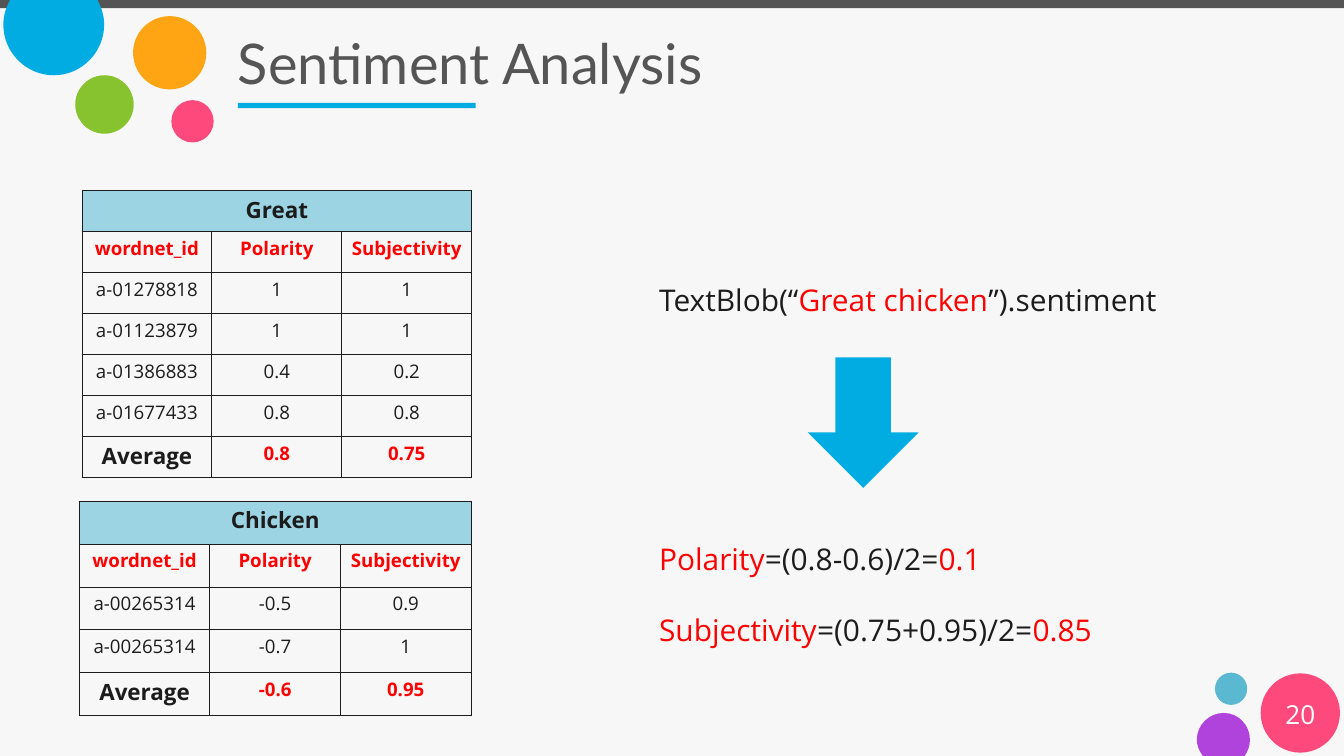
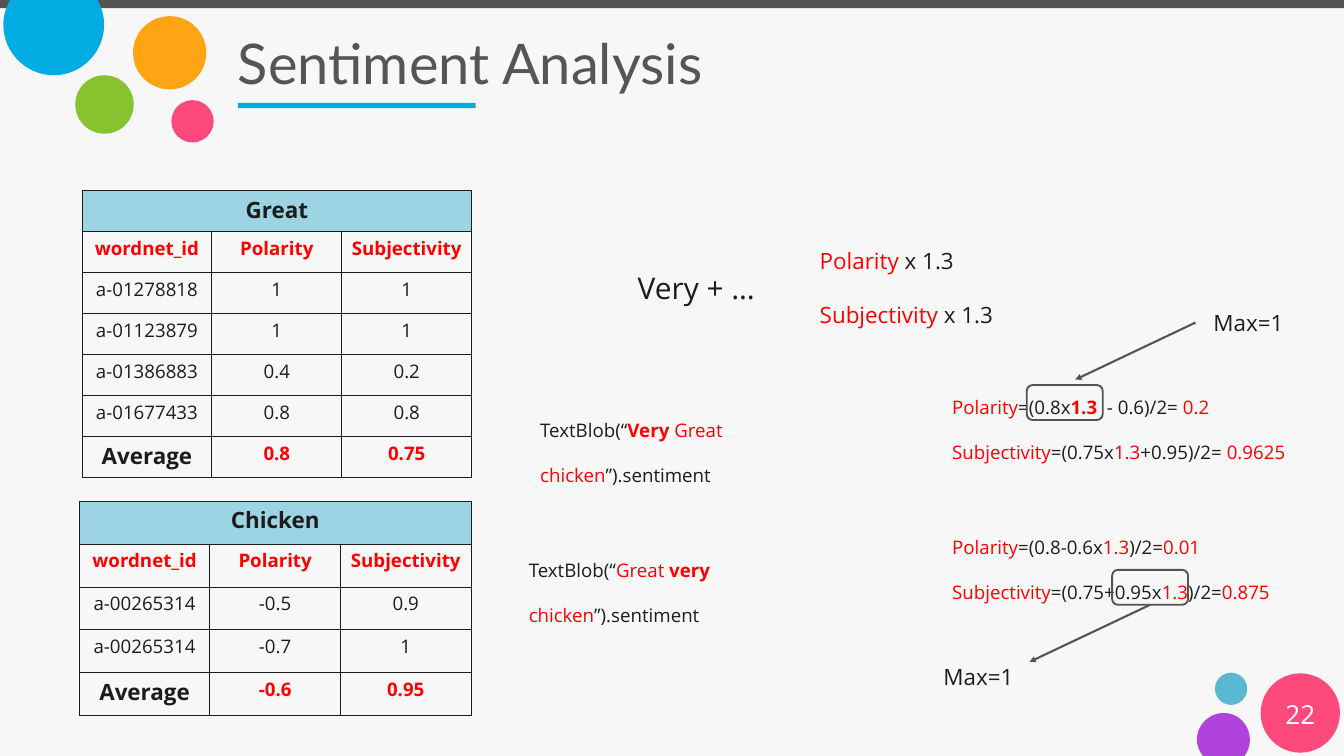
from collections import namedtuple

from lxml.etree import SubElement
from pptx import Presentation
from pptx.dml.color import RGBColor
from pptx.enum.shapes import MSO_CONNECTOR as Connector, MSO_SHAPE as Shape
from pptx.enum.text import MSO_ANCHOR as Anchor, MSO_AUTO_SIZE as AutoSize, PP_ALIGN as Align
from pptx.oxml.ns import qn
from pptx.util import Inches, Pt

COLORS = {
    "page": "F7F7F7", "band": "545454", "title": "555555", "ink": "1C1C1C",
    "red": "FF0000", "white": "FFFFFF", "header": "9DD4E3", "blue": "00ACE2",
    "green": "87C32F", "orange": "FFA513", "pink": "FD497C", "teal": "5BB8D1",
    "purple": "B143DD",
}
BODY_FONT, TITLE_FONT = "Open Sans", "Lato"
# The slide is a grid of one-inch columns and rows.
COLUMNS, ROWS = 20, 11.25
NUMBER_BOX = (18.76, 10.02, 1.18, 1.18)
TITLE_BOX = (3.36, 0.27, 15.69, 1.32)
GREAT_BOX = (1.22, 2.84, 5.8, 4.27)
CHICKEN_BOX = (1.18, 7.46, 5.83, 3.19)
RIGHT_ORIGIN = (7.77, 3.23)

# Outlines of the two cut-off circles: a start, then curves of three points each.
TOP_CIRCLE = [
    (1.45, 0), (1.51, 0.11), (1.55, 0.23), (1.55, 0.37),
    (1.55, 0.78), (1.21, 1.12), (0.8, 1.12),
    (0.39, 1.12), (0.05, 0.78), (0.05, 0.37),
    (0.05, 0.23), (0.09, 0.11), (0.15, 0),
]
BOTTOM_CIRCLE = [
    (17.9, 11.25), (17.85, 11.18), (17.81, 11.1), (17.81, 11.01),
    (17.81, 10.79), (17.99, 10.61), (18.21, 10.61),
    (18.43, 10.61), (18.6, 10.79), (18.6, 11.01),
    (18.6, 11.1), (18.57, 11.18), (18.52, 11.25),
]

Span = namedtuple("Span", "text color bold", defaults=("ink", False))

HEADINGS = ["wordnet_id", "Polarity", "Subjectivity"]
GREAT_ROWS = [
    HEADINGS,
    ["a-01278818", "1", "1"],
    ["a-01123879", "1", "1"],
    ["a-01386883", "0.4", "0.2"],
    ["a-01677433", "0.8", "0.8"],
    ["Average", "0.8", "0.75"],
]
CHICKEN_ROWS = [
    HEADINGS,
    ["a-00265314", "-0.5", "0.9"],
    ["a-00265314", "-0.7", "1"],
    ["Average", "-0.6", "0.95"],
]


def red(text, bold=False):
    return Span(text, "red", bold)


def rgb(name):
    return RGBColor.from_string(COLORS[name])


def grid(*cells):
    return [Inches(cell) for cell in cells]


def offset(origin, *box):
    """Shift a box, given relative to an origin, to its place on the slide."""
    return (origin[0] + box[0], origin[1] + box[1], *box[2:])


def style_font(font, size, color="ink", bold=False, name=BODY_FONT):
    font.name, font.size, font.bold = name, Pt(size), bold
    font.color.rgb = rgb(color)


def fill_plain(shape, color):
    shape.shadow.inherit = False
    shape.fill.solid()
    shape.fill.fore_color.rgb = rgb(color)
    shape.line.fill.background()


def add_filled(page, kind, box, color):
    fill_plain(page.shapes.add_shape(kind, *grid(*box)), color)


def add_circle(page, x, y, size, color):
    add_filled(page, Shape.OVAL, (x, y, size, size), color)


def add_curved(page, points, color):
    """Build the outline with straight segments, then turn each three into a curve."""
    points = [grid(*point) for point in points]
    outline = page.shapes.build_freeform(*points[0])
    outline.add_line_segments(points[1:], close=True)
    shape = outline.convert_to_shape()
    segments = list(shape._element.iter(qn("a:lnTo")))
    for first in range(0, len(segments), 3):
        triple = segments[first:first + 3]
        curve = triple[0].makeelement(qn("a:cubicBezTo"))
        triple[0].addprevious(curve)
        for segment in triple:
            curve.append(segment[0])
            segment.getparent().remove(segment)
    fill_plain(shape, color)


def add_decoration(page, layout):
    """Draw the shared band, circles and title rule, and move them to the layout."""
    for placeholder in list(layout.placeholders)[1:]:
        layout.shapes._spTree.remove(placeholder._element)
    add_filled(page, Shape.RECTANGLE, (0, 0, COLUMNS, 0.12), "band")
    add_circle(page, 2.55, 1.49, 0.63, "pink")
    add_curved(page, TOP_CIRCLE, "blue")
    add_circle(page, 1.12, 1.12, 0.87, "green")
    add_circle(page, 1.98, 0.24, 1.09, "orange")
    add_circle(page, 18.08, 10.01, 0.48, "teal")
    add_filled(page, Shape.OVAL, NUMBER_BOX, "pink")
    add_curved(page, BOTTOM_CIRCLE, "purple")
    add_filled(page, Shape.RECTANGLE, (3.54, 1.53, 3.54, 0.08), "blue")
    drawn = [shape for shape in page.shapes if not shape.is_placeholder]
    for number, shape in enumerate(drawn, 100):
        shape._element.nvSpPr.cNvPr.set("id", str(number))
        layout.shapes._spTree.append(shape._element)


def set_frame(frame):
    frame.auto_size = AutoSize.NONE
    frame.word_wrap = True
    frame.vertical_anchor = Anchor.MIDDLE
    frame.margin_left = frame.margin_right = Inches(0.18)
    frame.margin_top = frame.margin_bottom = Inches(0.09)


def add_title(page, text, box):
    title = page.shapes.title
    title.left, title.top, title.width, title.height = grid(*box)
    set_frame(title.text_frame)
    title.text_frame.text = text
    para = title.text_frame.paragraphs[0]
    para.alignment = Align.LEFT
    style_font(para.font, 60, "title", name=TITLE_FONT)


def add_page_number(page, number, box):
    x, y, width, height = box
    label = page.shapes.add_textbox(*grid(x, y + 0.3, width, height - 0.58))
    set_frame(label.text_frame)
    para = label.text_frame.paragraphs[0]
    para.text = str(number)
    para.alignment = Align.CENTER
    style_font(para.font, 28, "white")


def add_lines(page, box, size, lines, wrap=False):
    """Add a double-spaced text box; each line is a list of spans."""
    frame = page.shapes.add_textbox(*grid(*box)).text_frame
    frame.word_wrap = wrap
    frame.auto_size = AutoSize.SHAPE_TO_FIT_TEXT
    for index, spans in enumerate(lines):
        para = frame.add_paragraph() if index else frame.paragraphs[0]
        para.line_spacing = 2.0
        for span in spans:
            run = para.add_run()
            run.text = span.text
            style_font(run.font, size, span.color, span.bold)


def border_cell(cell):
    properties = cell._tc.get_or_add_tcPr()
    for side in ("a:lnL", "a:lnR", "a:lnT", "a:lnB"):
        line = SubElement(properties, qn(side), w=str(Pt(1)))
        fill = SubElement(line, qn("a:solidFill"))
        SubElement(fill, qn("a:srgbClr"), val=COLORS["ink"])


def add_word_table(page, word, rows, box):
    rows = [[word, "", ""]] + rows
    last = len(rows) - 1
    table = page.shapes.add_table(len(rows), 3, *grid(*box)).table
    table.first_row = table.horz_banding = False
    for column in table.columns:
        column.width = Inches(box[2] / 3)
    for r, values in enumerate(rows):
        table.rows[r].height = Inches(box[3] / len(rows))
        for c, value in enumerate(values):
            cell = table.cell(r, c)
            border_cell(cell)
            if r == 0:
                cell.fill.solid()
                cell.fill.fore_color.rgb = rgb("header")
            else:
                cell.fill.background()
            para = cell.text_frame.paragraphs[0]
            para.text = value
            para.alignment = Align.CENTER
            large = r == 0 or (r == last and c == 0)
            strong = r in (0, 1, last)
            style_font(para.font, 24 if large else 20,
                       "red" if strong and not large else "ink", strong)
    table.cell(0, 0).merge(table.cell(0, 2))


def add_highlight(page, box):
    frame = page.shapes.add_shape(Shape.ROUNDED_RECTANGLE, *grid(*box))
    frame.shadow.inherit = False
    frame.fill.background()
    frame.line.color.rgb = rgb("band")
    frame.line.width = Pt(2)
    return frame


def add_arrow(page, start, end):
    arrow = page.shapes.add_connector(Connector.STRAIGHT, *grid(*start, *end))
    arrow.line.color.rgb = rgb("band")
    arrow.line.width = Pt(2.25)
    SubElement(arrow.line._get_or_add_ln(), qn("a:tailEnd"), type="triangle")
    SubElement(arrow._element.spPr, qn("a:effectLst"))
    return arrow


def add_average_example(page, origin):
    add_lines(page, offset(origin, 1.94, 0.38, 7.67, 1.02), 32, [
        [Span("TextBlob(“"), red("Great chicken"), Span("”).sentiment")]])
    add_lines(page, offset(origin, 1.94, 4.23, 6.69, 2.1), 32, [
        [red("Polarity"), Span("=(0.8-0.6)/2="), red("0.1")],
        [red("Subjectivity"), Span("=(0.75+0.95)/2="), red("0.85")]])
    add_filled(page, Shape.DOWN_ARROW, offset(origin, 4.25, 2.09, 1.65, 1.94), "blue")


def add_modifier_examples(page, origin):
    add_lines(page, offset(origin, 6.3, 4.36, 4.95, 1.45), 20, [
        [red("Polarity"), Span("=(0.8-0.6x"), red("1.3"), Span(")/2="), red("0.01")],
        [red("Subjectivity"), Span("=(0.75+0.95x"), red("1.3"), Span(")/2="),
         red("0.875")]])
    add_lines(page, offset(origin, 0.17, 2.62, 5.51, 0.68), 20, [
        [Span("TextBlob(“"), red("Very ", True), red("Great chicken"),
         Span("”).sentiment")]], wrap=True)
    add_lines(page, offset(origin, 0, 4.7, 5.49, 0.68), 20, [
        [Span("TextBlob(“"), red("Great "), red("very", True), red(" chicken"),
         Span("”).sentiment")]], wrap=True)
    add_lines(page, offset(origin, 6.3, 2.28, 5.18, 1.45), 20, [
        [red("Polarity"), Span("=(0.8x"), red("1.3 ", True), Span(" - 0.6)/2= "),
         red("0.2")],
        [red("Subjectivity"), Span("=(0.75x"), red("1.3"), Span("+0.95)/2= "),
         red("0.9625")]])


def add_modifier_rule(page, origin):
    add_lines(page, offset(origin, 1.62, 0.2, 1.97, 1.18), 32, [[Span("Very + …")]])
    add_lines(page, offset(origin, 4.33, 0, 4.79, 1.72), 24, [
        [red(name + " "), Span("x 1.3")] for name in HEADINGS[1:]], wrap=True)


def add_limits(page, origin):
    """Frame the two capped products, each with an arrow and its limit."""
    lower = add_highlight(page, offset(origin, 8.78, 5.25, 1.13, 0.52))
    arrow = add_arrow(page, offset(origin, 9.34, 5.77), offset(origin, 7.55, 6.62))
    arrow.begin_connect(lower, 2)
    add_highlight(page, offset(origin, 7.51, 2.5, 1.13, 0.52))
    add_arrow(page, offset(origin, 10.02, 1.57), offset(origin, 8.23, 2.42))
    for x, y in [(6.17, 6.19), (10.19, 0.92)]:
        add_lines(page, offset(origin, x, y, 1.26, 0.91), 24, [[Span("Max=1")]])


def add_analysis_slide(deck, number, regions):
    layout = deck.slide_layouts[5]
    page = deck.slides.add_slide(layout)
    if len(deck.slides) == 1:
        add_decoration(page, layout)
    add_title(page, "Sentiment Analysis", TITLE_BOX)
    add_page_number(page, number, NUMBER_BOX)
    add_word_table(page, "Great", GREAT_ROWS, GREAT_BOX)
    add_word_table(page, "Chicken", CHICKEN_ROWS, CHICKEN_BOX)
    for add_region in regions:
        add_region(page, RIGHT_ORIGIN)


def main():
    deck = Presentation()
    deck.slide_width, deck.slide_height = grid(COLUMNS, ROWS)
    background = deck.slide_master.background.fill
    background.solid()
    background.fore_color.rgb = rgb("page")
    add_analysis_slide(deck, 20, [add_average_example])
    add_analysis_slide(deck, 22, [add_modifier_examples, add_modifier_rule, add_limits])
    deck.save("out.pptx")


if __name__ == "__main__":
    main()
